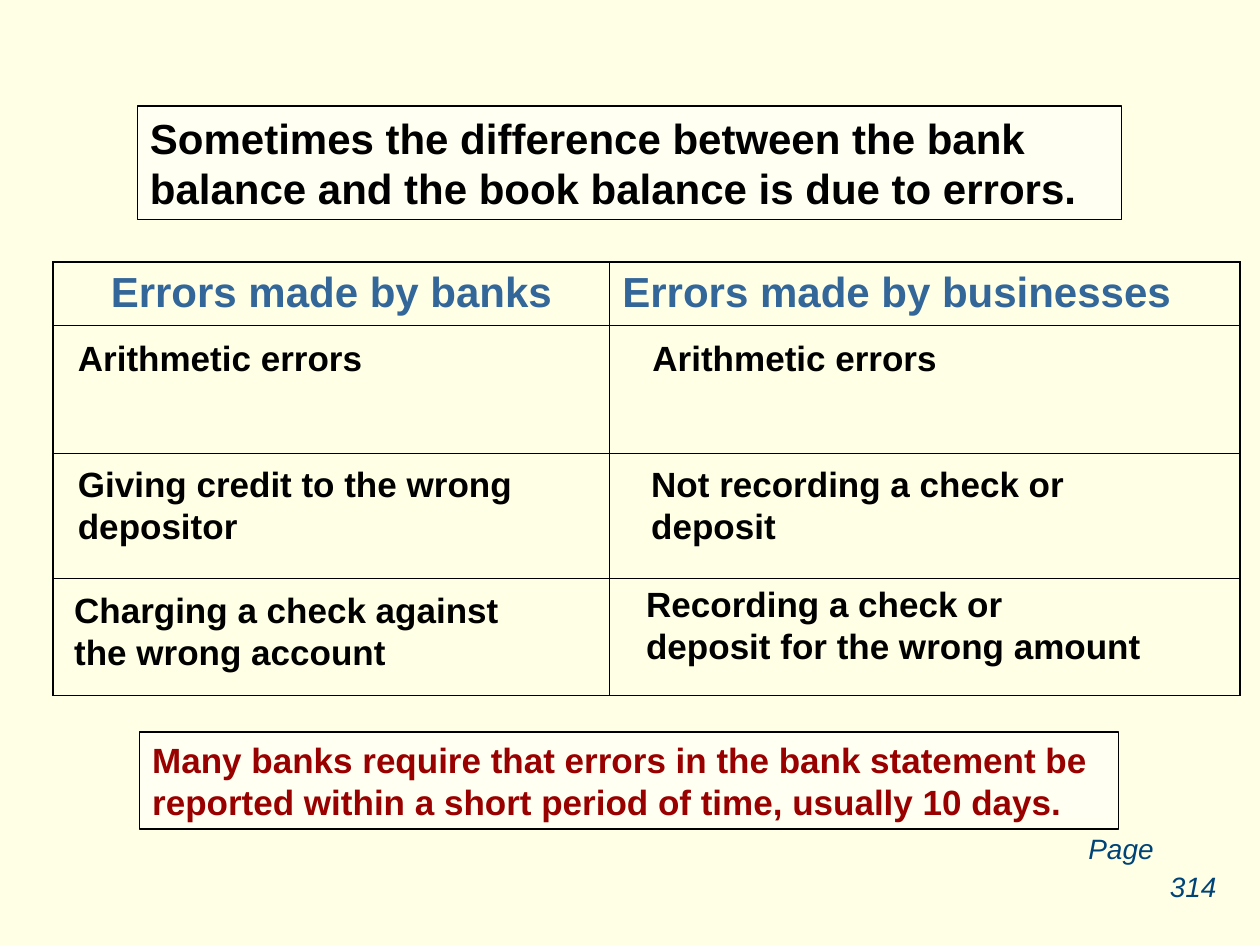
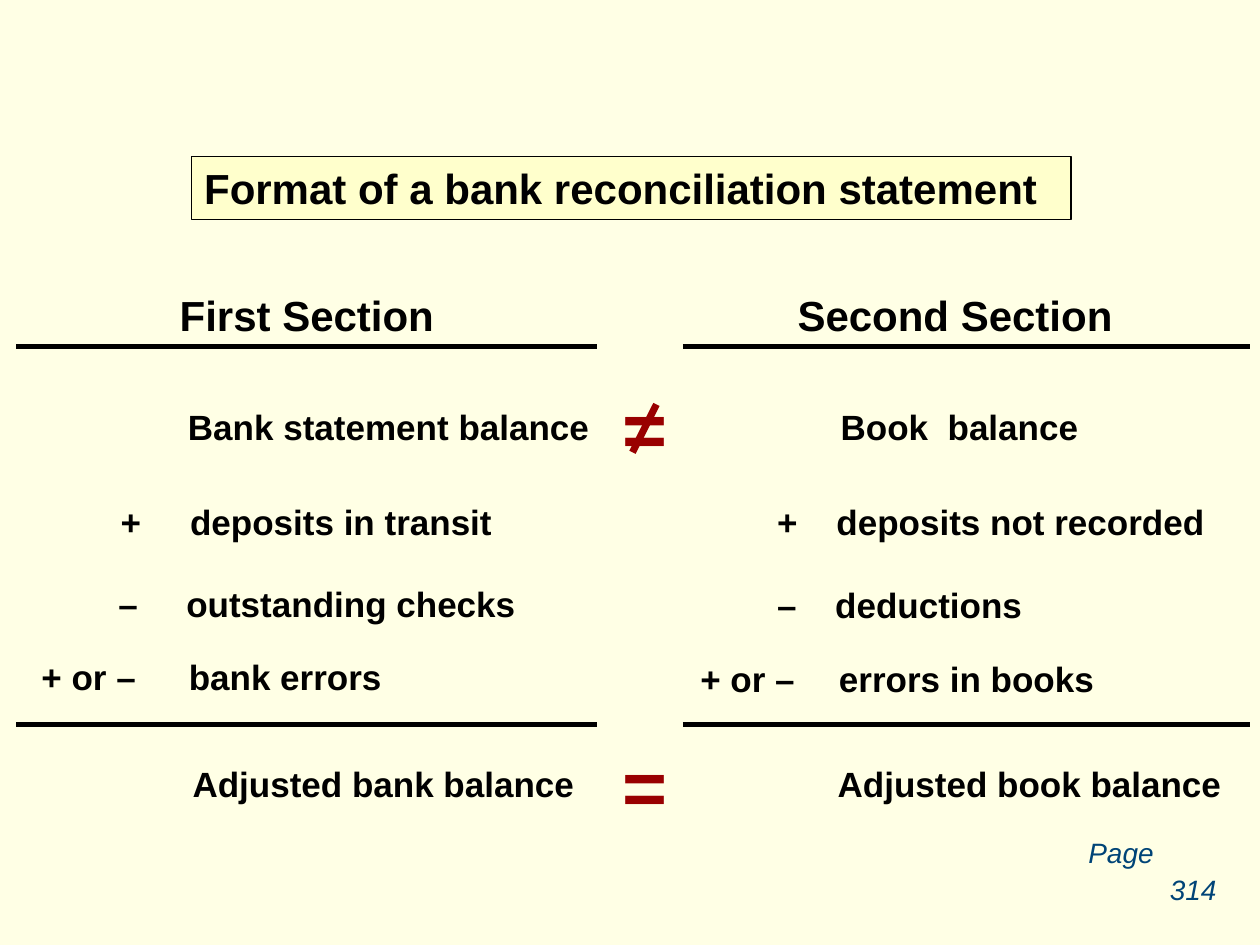
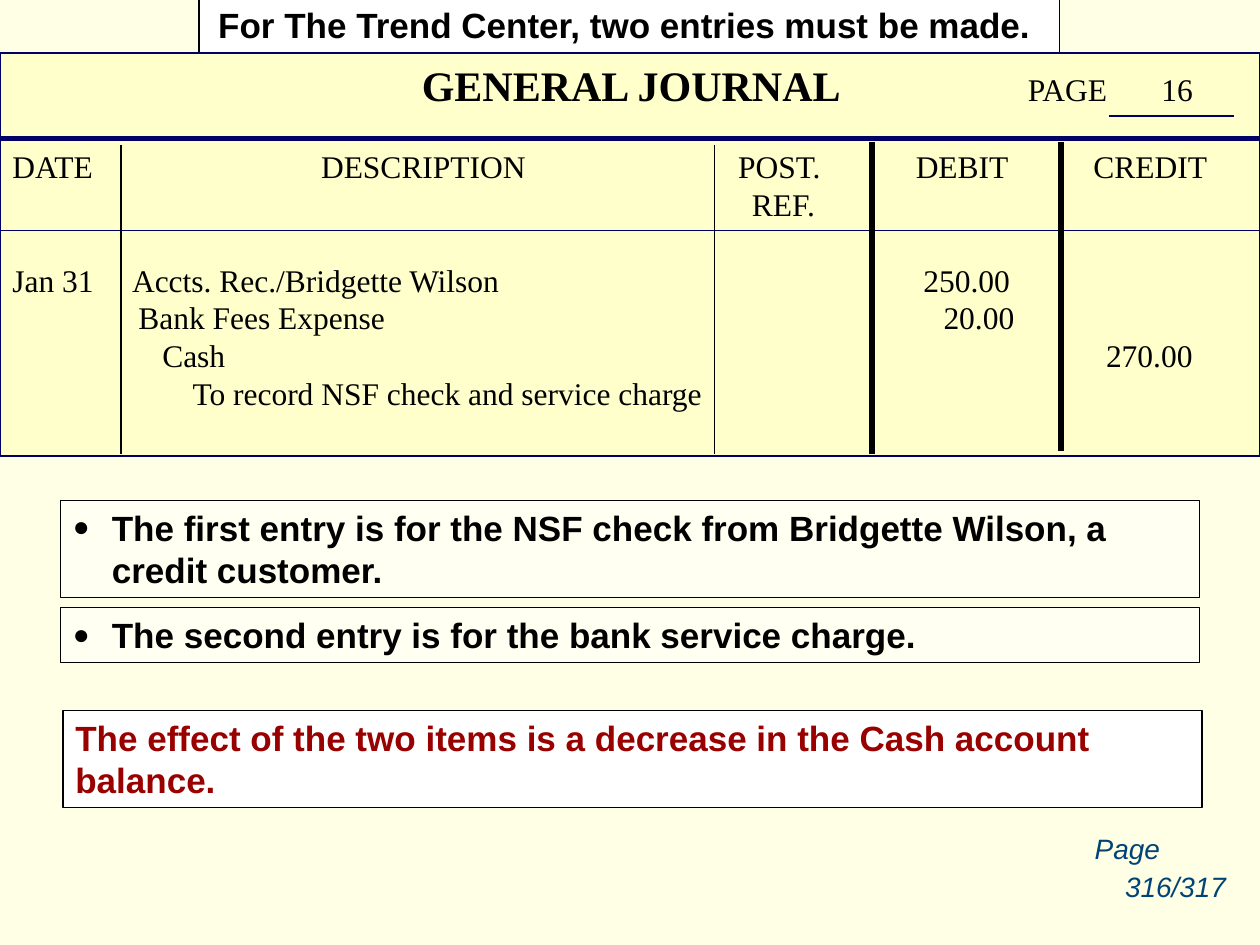
from dataclasses import dataclass

from lxml.etree import SubElement
from pptx import Presentation
from pptx.dml.color import RGBColor
from pptx.enum.shapes import MSO_CONNECTOR, MSO_SHAPE
from pptx.enum.text import MSO_ANCHOR, MSO_AUTO_SIZE, PP_ALIGN
from pptx.oxml.ns import qn
from pptx.util import Inches, Pt


@dataclass(frozen=True)
class Theme:
    sans: str = "Arial"
    serif: str = "Times New Roman"
    paper: RGBColor = RGBColor(0xFF, 0xFF, 0xE5)
    cream: RGBColor = RGBColor(0xFF, 0xFF, 0xCC)
    white: RGBColor = RGBColor(0xFF, 0xFF, 0xFF)
    black: RGBColor = RGBColor(0, 0, 0)
    blue: RGBColor = RGBColor(0x33, 0x66, 0x99)
    navy: RGBColor = RGBColor(0, 0, 0x66)
    page: RGBColor = RGBColor(0, 0x44, 0x77)
    red: RGBColor = RGBColor(0x99, 0, 0)
    heading: int = 24
    body: int = 20
    ledger: int = 18
    footer: int = 16
    sign: int = 44
    leading: float = 1.2


T = Theme()


def put(tf, text, size=T.body, color=T.black, bold=True, italic=False,
        align=PP_ALIGN.LEFT, font=T.sans, tabs=()):
    p = tf.add_paragraph() if tf.text else tf.paragraphs[0]
    tf.word_wrap = True
    p.text = text
    p.alignment = align
    p.line_spacing = Pt(size * T.leading)
    if tabs:
        tab_list = SubElement(p._p.get_or_add_pPr(), qn("a:tabLst"))
        for tab in tabs:
            SubElement(tab_list, qn("a:tab"), pos=str(Inches(tab)), algn="l")
    for r in p.runs:
        r.font.name, r.font.size = font, Pt(size)
        r.font.bold, r.font.italic = bold, italic
        r.font.color.rgb = color
    return p


def rule(s, x1, y1, x2, y2, color, width):
    cn = s.shapes.add_connector(MSO_CONNECTOR.STRAIGHT, Inches(x1), Inches(y1), Inches(x2), Inches(y2))
    cn.line.color.rgb = color
    cn.line.width = Pt(width)
    SubElement(cn._element.spPr, qn("a:effectLst"))


prs = Presentation()
prs.slide_width, prs.slide_height = Inches(10), Inches(7.5)
fill = prs.slide_master.background.fill
fill.solid()
fill.fore_color.rgb = T.paper
errors, sections, journal = [prs.slides.add_slide(prs.slide_layouts[5]) for _ in range(3)]

ledger = journal.shapes.add_shape(MSO_SHAPE.RECTANGLE, 0, Inches(0.42), Inches(10), Inches(3.2))
ledger.shadow.inherit = False
ledger.fill.solid()
ledger.fill.fore_color.rgb = T.cream
ledger.line.color.rgb = T.navy
ledger.line.width = Pt(1)
tf = ledger.text_frame
tf.vertical_anchor = MSO_ANCHOR.TOP
p = put(tf, "\tGENERAL JOURNAL", T.heading, font=T.serif, tabs=(3.25, 8.06, 9.12))
r = p.add_run()
r.text = "\tPAGE\t16"
r.font.name, r.font.size, r.font.bold = T.serif, Pt(T.ledger), False
r.font.color.rgb = T.black
for text, tabs, gap in [
    ("DATE\tDESCRIPTION\tPOST.\tDEBIT\tCREDIT", (2.45, 5.76, 7.17, 8.58), True),
    ("\tREF.", (5.87,), False),
    ("Jan 31\tAccts. Rec./Bridgette Wilson\t250.00", (0.95, 7.23), True),
    ("\tBank Fees Expense\t20.00", (1.0, 7.39), False),
    ("\tCash\t270.00", (1.19, 8.68), False),
    ("\tTo record NSF check and service charge", (1.43,), False),
]:
    p = put(tf, text, T.ledger, bold=False, font=T.serif, tabs=tabs)
    p.space_before = Pt(T.ledger * T.leading if gap else 0)

for x1, y1, x2, y2, color, width in [
    (8.8, 0.92, 9.79, 0.92, T.navy, 1),
    (0, 1.1, 10, 1.1, T.navy, 3),
    (0, 1.83, 10, 1.83, T.navy, 1),
    (0.96, 1.15, 0.96, 3.6, T.black, 1),
    (5.67, 1.15, 5.67, 3.6, T.black, 1),
    (6.92, 1.13, 6.92, 3.6, T.black, 3),
    (8.42, 1.13, 8.42, 3.58, T.black, 3),
]:
    rule(journal, x1, y1, x2, y2, color, width)

LEFT, CENTER = PP_ALIGN.LEFT, PP_ALIGN.CENTER
for s, is_title, box, text, size, color, back, alpha, align, bullet in [
    (errors, True, (1.09, 0.84, 7.81, 0.9),
     "Sometimes the difference between the bank balance and the book balance is due to errors.",
     T.heading, T.black, T.white, 50, LEFT, False),
    (errors, False, (1.11, 5.81, 7.77, 0.77),
     "Many banks require that errors in the bank statement be reported within a short period of time, "
     "usually 10 days.",
     T.body, T.red, T.white, 50, LEFT, False),
    (sections, True, (1.52, 1.24, 6.98, 0.5), "Format of a bank reconciliation statement",
     T.heading, T.black, T.cream, 100, LEFT, False),
    (journal, True, (1.58, -0.02, 6.83, 0.44), "For The Trend Center, two entries must be made. ",
     T.body, T.black, T.white, 100, CENTER, False),
    (journal, False, (0.48, 3.97, 9.04, 0.77),
     "The first entry is for the NSF check from Bridgette Wilson, a credit customer.",
     T.body, T.black, T.white, 50, LEFT, True),
    (journal, False, (0.48, 4.82, 9.04, 0.44), "The second entry is for the bank service charge.",
     T.body, T.black, T.white, 50, LEFT, True),
    (journal, False, (0.5, 5.64, 9.04, 0.77),
     "The effect of the two items is a decrease in the Cash account balance.",
     T.body, T.red, T.white, 100, LEFT, False),
]:
    x, y, w, h = [Inches(v) for v in box]
    if is_title:
        sp = s.shapes.title
        sp.left, sp.top, sp.width, sp.height = x, y, w, h
    else:
        sp = s.shapes.add_shape(MSO_SHAPE.RECTANGLE, x, y, w, h)
    sp.shadow.inherit = False
    sp.fill.solid()
    sp.fill.fore_color.rgb = back
    if alpha < 100:
        SubElement(sp._element.spPr.find(".//" + qn("a:srgbClr")), qn("a:alpha"), val=str(alpha * 1000))
    sp.line.color.rgb = T.black
    sp.line.width = Pt(0.75)
    tf = sp.text_frame
    tf.auto_size = MSO_AUTO_SIZE.NONE
    tf.vertical_anchor = MSO_ANCHOR.TOP
    p = put(tf, text, size, color, align=align)
    p.space_before = Pt(0)
    if bullet:
        pPr = p._p.get_or_add_pPr()
        pPr.set("marL", str(Inches(0.31)))
        pPr.set("indent", str(-Inches(0.31)))
        SubElement(SubElement(pPr, qn("a:buClr")), qn("a:srgbClr"), val=str(T.black))
        SubElement(pPr, qn("a:buSzPct"), val="80000")
        SubElement(pPr, qn("a:buFont"), typeface=T.sans)
        SubElement(pPr, qn("a:buChar"), char="●")

table = errors.shapes.add_table(4, 2, Inches(0.42), Inches(2.08), Inches(9.42), Inches(3.44)).table
table.first_row = table.horz_banding = False
for col, width in zip(table.columns, (4.42, 5)):
    col.width = Inches(width)
for row, height in zip(table.rows, (0.5, 1.02, 0.99, 0.93)):
    row.height = Inches(height)
for i in range(4):
    for j in range(2):
        cell = table.cell(i, j)
        tcPr = cell._tc.get_or_add_tcPr()
        for side, outer in (("L", j == 0), ("R", j == 1), ("T", i == 0), ("B", i == 3)):
            ln = SubElement(tcPr, qn("a:ln" + side), w=str(Pt(1.08 if outer else 0.45)))
            SubElement(SubElement(ln, qn("a:solidFill")), qn("a:srgbClr"), val=str(T.black))
        cell.fill.background()
for j, (text, align) in enumerate([("Errors made by banks", CENTER), ("Errors made by businesses", LEFT)]):
    cell = table.cell(0, j)
    cell.margin_top = Inches(0.03)
    put(cell.text_frame, text, T.heading, T.blue, align=align)

for x, y, h, text in [
    (0.52, 2.62, 0.44, "Arithmetic errors"),
    (5.08, 2.62, 0.44, "Arithmetic errors"),
    (0.52, 3.62, 0.77, "Giving credit to the wrong\vdepositor"),
    (5.07, 3.62, 0.77, "Not recording a check or\vdeposit"),
    (0.49, 4.62, 0.77, "Charging a check against\vthe wrong account"),
    (5.03, 4.57, 0.77, "Recording a check or\vdeposit for the wrong amount"),
]:
    sp = errors.shapes.add_textbox(Inches(x), Inches(y), Inches(4.2), Inches(h))
    put(sp.text_frame, text)

for x1, x2 in ((0.13, 4.74), (5.42, 9.92)):
    for y in (2.75, 5.75):
        rule(sections, x1, y, x2, y, T.black, 3)
rule(sections, 5.02, 3.59, 5.21, 3.21, T.red, 4)

for x, y, w, h, text, size, color, align, tabs in [
    (0.84, 2.25, 3.19, 0.5, "First Section", T.heading, T.black, CENTER, ()),
    (6.08, 2.25, 3, 0.5, "Second Section", T.heading, T.black, CENTER, ()),
    (1.21, 3.17, 3.75, 0.44, "Bank statement balance", T.body, T.black, CENTER, ()),
    (5.74, 3.17, 3.75, 0.44, "Book  balance", T.body, T.black, CENTER, ()),
    (0.86, 3.92, 3.75, 0.44, "+\tdeposits in transit", T.body, T.black, LEFT, (0.55,)),
    (6.07, 3.92, 3.75, 0.44, "+\tdeposits not recorded", T.body, T.black, LEFT, (0.47,)),
    (0.84, 4.57, 3.75, 0.44, "–\toutstanding checks", T.body, T.black, LEFT, (0.54,)),
    (6.07, 4.58, 3.75, 0.44, "–\tdeductions", T.body, T.black, LEFT, (0.46,)),
    (0.23, 5.15, 3.75, 0.44, "+ or –\tbank errors", T.body, T.black, LEFT, (1.17,)),
    (5.46, 5.17, 3.75, 0.44, "+ or –\terrors in books", T.body, T.black, LEFT, (1.1,)),
    (1.43, 6, 3.4, 0.44, "Adjusted bank balance", T.body, T.black, LEFT, ()),
    (6.55, 6, 3.4, 0.44, "Adjusted book balance", T.body, T.black, LEFT, ()),
    (4.84, 2.97, 0.72, 0.84, "=", T.sign, T.red, LEFT, ()),
    (4.84, 5.81, 0.72, 0.84, "=", T.sign, T.red, LEFT, ()),
]:
    sp = sections.shapes.add_textbox(Inches(x), Inches(y), Inches(w), Inches(h))
    put(sp.text_frame, text, size, color, align=align, tabs=tabs)

for s, x, y, number, center in [
    (errors, 8.54, 6.55, "314", 9.47),
    (sections, 8.54, 6.58, "314", 9.47),
    (journal, 8.59, 6.55, "316/317", 9.33),
]:
    for text, left, top, width, align in [
        ("Page", x, y, 0.8, LEFT),
        (number, center - 0.6, y + 0.3, 1.2, CENTER),
    ]:
        sp = s.shapes.add_textbox(Inches(left), Inches(top), Inches(width), Inches(0.37))
        put(sp.text_frame, text, T.footer, T.page, bold=False, italic=True, align=align)

prs.save("out.pptx")
